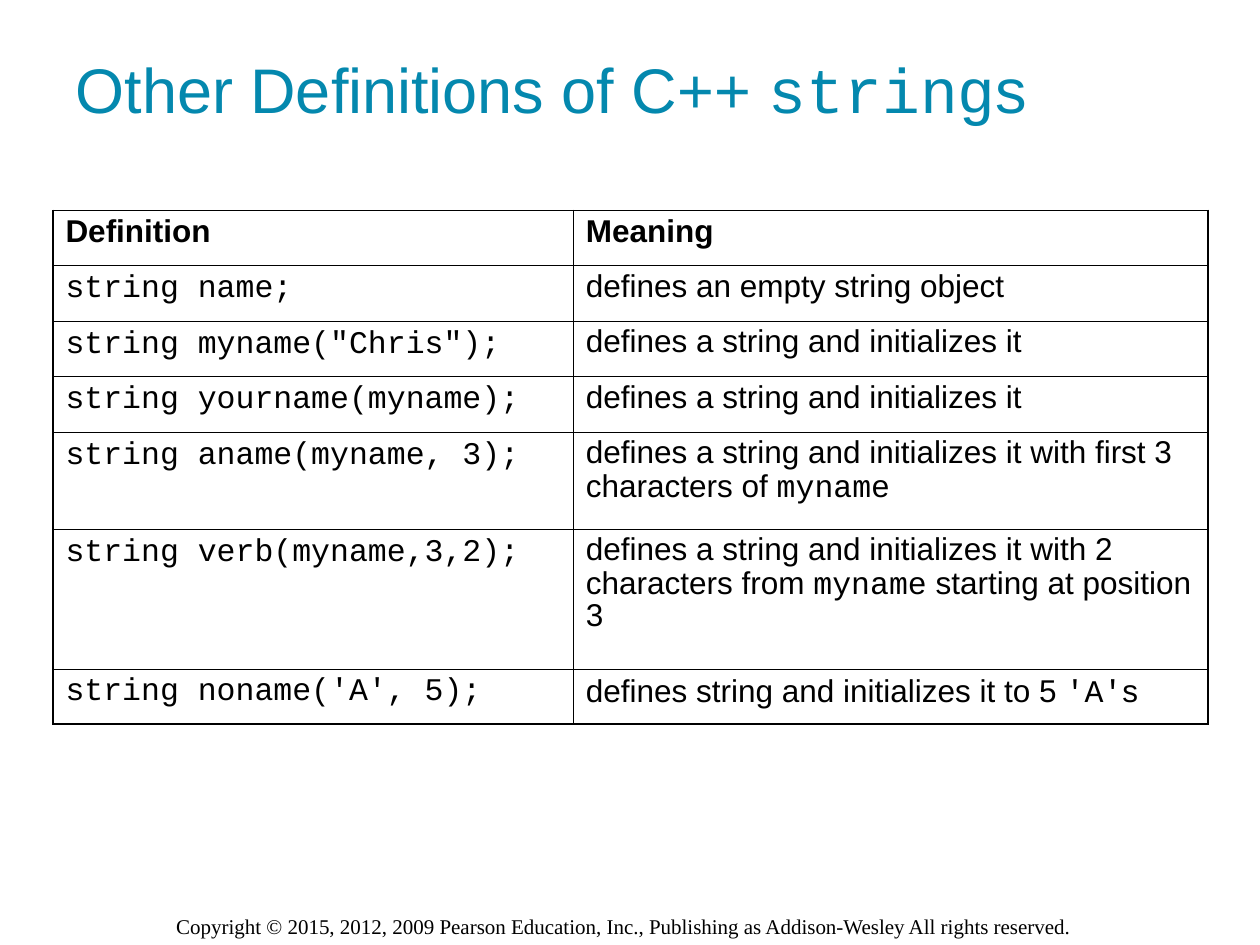
from lxml import etree
from pptx import Presentation
from pptx.dml.color import RGBColor
from pptx.enum.text import MSO_ANCHOR, PP_ALIGN
from pptx.oxml.ns import qn
from pptx.util import Inches, Pt

LEFT = PP_ALIGN.LEFT
MIDDLE = MSO_ANCHOR.MIDDLE
SANS, MONO, SERIF = "Arial", "Courier New", "Times New Roman"
BLACK, TEAL = "000000", "0488AE"
OUTER, INNER = 1.08, 0.45

TITLE = "Other Definitions of C++ `string`s"
FOOTER = ("Copyright © 2015, 2012, 2009 Pearson Education, Inc., "
          "Publishing as Addison-Wesley All rights reserved.")
ROWS = [
    ("Definition", "Meaning"),
    ("`string name;`", "defines an empty string object"),
    ('`string myname("Chris");`', "defines a string and initializes it"),
    ("`string yourname(myname);`", "defines a string and initializes it"),
    ("`string aname(myname, 3);`",
     "defines a string and initializes it with first 3 characters of `myname`"),
    ("`string verb(myname,3,2);`",
     "defines a string and initializes it with 2 characters from `myname` starting at position 3"),
    ("`string noname('A', 5);`", "defines string and initializes it to 5 `'A'`s"),
]
COL_WIDTHS = [4.13, 5.04]
ROW_HEIGHTS = [0.44] * 4 + [0.77, 1.11, 0.44]


def rgb(value):
    return RGBColor.from_string(value)


def write(p, marked, size, color, font=SANS, bold=False):
    for i, part in enumerate(marked.split("`")):
        if part:
            r = p.add_run()
            r.text = part
            r.font.name = MONO if i % 2 else font
            r.font.size = Pt(size)
            r.font.bold = bold
            r.font.color.rgb = rgb(color)


def add_border(cell, side, width):
    ln = etree.SubElement(cell._tc.get_or_add_tcPr(), qn(f"a:ln{side}"), w=str(Pt(width)))
    fill = etree.SubElement(ln, qn("a:solidFill"))
    etree.SubElement(fill, qn("a:srgbClr"), val=BLACK)


def add_definitions(s):
    n_rows, n_cols = len(ROWS), len(COL_WIDTHS)
    table = s.shapes.add_table(n_rows, n_cols, Inches(0.42), Inches(1.67),
                               Inches(sum(COL_WIDTHS)), Inches(sum(ROW_HEIGHTS))).table
    for col, width in zip(table.columns, COL_WIDTHS):
        col.width = Inches(width)
    for i, (row, height) in enumerate(zip(table.rows, ROW_HEIGHTS)):
        row.height = Inches(height)
        for j, cell in enumerate(row.cells):
            edges = {"L": j == 0, "R": j == n_cols - 1, "T": i == 0, "B": i == n_rows - 1}
            for side, is_outer in edges.items():
                add_border(cell, side, OUTER if is_outer else INNER)
            cell.fill.background()
            p = cell.text_frame.paragraphs[0]
            p.line_spacing = 0.9
            write(p, ROWS[i][j], 18, BLACK, bold=i == 0)


def main():
    prs = Presentation()
    prs.slide_width, prs.slide_height = Inches(10), Inches(7.5)
    s = prs.slides.add_slide(prs.slide_layouts[5])

    title = s.shapes.title
    title.left, title.top = Inches(0.5), Inches(0.08)
    title.width, title.height = Inches(8.33), Inches(1.25)
    title.text_frame.vertical_anchor = MIDDLE
    p = title.text_frame.paragraphs[0]
    p.alignment = LEFT
    write(p, TITLE, 36, TEAL)

    add_definitions(s)

    footer = s.shapes.add_textbox(Inches(1.3), Inches(7.2), Inches(7.42), Inches(0.3))
    footer.text_frame.word_wrap = True
    write(footer.text_frame.paragraphs[0], FOOTER, 12, BLACK, SERIF)

    prs.save("out.pptx")


if __name__ == "__main__":
    main()
